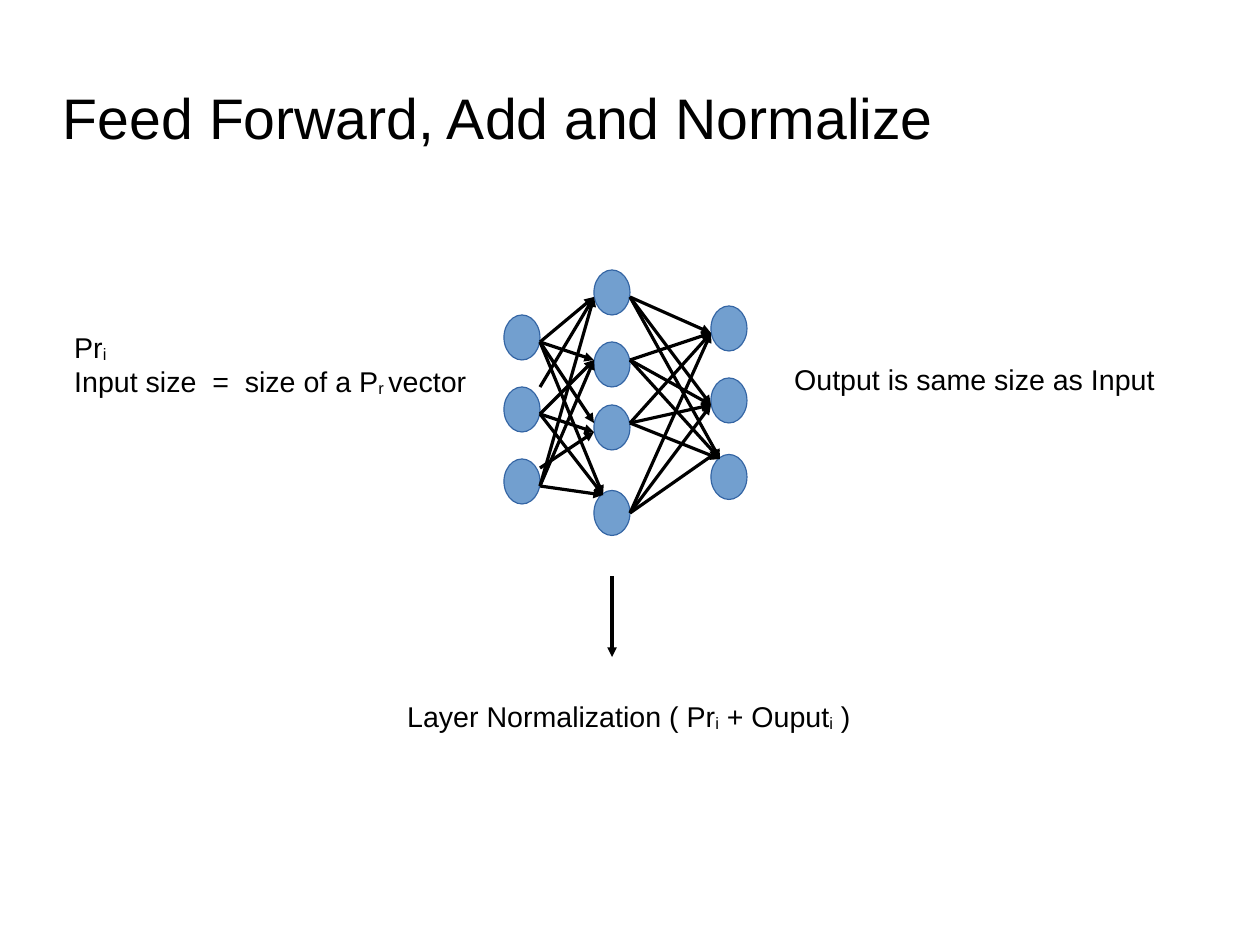
from lxml.etree import SubElement
from pptx import Presentation
from pptx.dml.color import RGBColor
from pptx.enum.shapes import MSO_CONNECTOR, MSO_SHAPE
from pptx.enum.text import MSO_ANCHOR, MSO_AUTO_SIZE, PP_ALIGN
from pptx.oxml.ns import qn
from pptx.util import Mm, Pt

TITLE = "Feed Forward, Add and Normalize"
# Each paragraph alternates normal and subscript runs.
LABELS = [
    ((7, 36, 47, 15), [["Pr", "i"],
                       ["Input size  =  size of a P", "r ", "vector"]]),
    ((87, 39.6, 47, 8.4), [["Output is same size as Input"]]),
    ((44, 77, 64, 6), [["Layer Normalization ( Pr", "i", " + Ouput", "i", " )"]]),
]

# Positions are columns and rows of a 2 mm grid.
COLUMNS, ROWS = 140, 105
NODE_WIDTH, NODE_HEIGHT = 4, 5
LAYERS = [  # column, node tops
    (56, [35, 43, 51]),
    (66, [30, 38, 45, 54.5]),
    (79, [34, 42, 50.5]),
]
DEPARTURES = [[38, 46, 54], [33, 40, 47, 57]]  # rows, per source layer
ARRIVALS = [  # points, per target layer
    [(66, 33), (66, 40), (66, 48), (67, 55)],
    [(79, 37), (79, 45), (80, 51)],
]
# Edges (layer, source, target) that leave or land on a row of their own
OWN_DEPARTURE = {(0, 1, 0): 43, (0, 2, 2): 52}
OWN_ARRIVAL = {(0, 0, 2): 47, (1, 3, 2): 50}
RESULT_ARROW = ((68, 64), (68, 73))

COLORS = {"node": "729FCF", "outline": "3465A4", "ink": "000000"}
FONT = "Arial"


def grid(*units):
    return [Mm(2 * unit) for unit in units]


def color(name):
    return RGBColor.from_string(COLORS[name])


def style_run(run, size):
    run.font.name = FONT
    run.font.size = Pt(size)
    run.font.color.rgb = color("ink")


def add_title(slide):
    title = slide.shapes.title
    title.left, title.top, title.width, title.height = grid(7, 8, 100, 10)
    frame = title.text_frame
    frame.text = TITLE
    frame.auto_size = MSO_AUTO_SIZE.NONE
    frame.vertical_anchor = MSO_ANCHOR.MIDDLE
    frame.margin_left = frame.margin_right = 0
    frame.margin_top = frame.margin_bottom = 0
    frame.paragraphs[0].alignment = PP_ALIGN.LEFT
    style_run(frame.paragraphs[0].runs[0], 36)


def add_label(slide, box, paragraphs):
    frame = slide.shapes.add_textbox(*grid(*box)).text_frame
    frame.word_wrap = True
    for number, pieces in enumerate(paragraphs):
        paragraph = frame.add_paragraph() if number else frame.paragraphs[0]
        for position, piece in enumerate(pieces):
            run = paragraph.add_run()
            run.text = piece
            style_run(run, 18)
            if position % 2:
                run.font._element.set("baseline", "-8000")


def add_node(slide, column, row):
    node = slide.shapes.add_shape(
        MSO_SHAPE.OVAL, *grid(column, row, NODE_WIDTH, NODE_HEIGHT))
    node.shadow.inherit = False
    node.fill.solid()
    node.fill.fore_color.rgb = color("node")
    node.line.color.rgb = color("outline")
    node.line.width = Pt(0)


def add_arrow(slide, start, end):
    arrow = slide.shapes.add_connector(
        MSO_CONNECTOR.STRAIGHT, *grid(*start, *end))
    arrow.line.color.rgb = color("ink")
    arrow.line.width = Pt(0)
    properties = arrow._element.spPr
    SubElement(properties.find(qn("a:ln")), qn("a:tailEnd"), type="triangle")
    SubElement(properties, qn("a:effectLst"))


def add_network(slide):
    for column, tops in LAYERS:
        for top in tops:
            add_node(slide, column, top)
    for layer, (departures, arrivals) in enumerate(zip(DEPARTURES, ARRIVALS)):
        start_column = LAYERS[layer][0] + NODE_WIDTH
        for source, start_row in enumerate(departures):
            for target, (end_column, end_row) in enumerate(arrivals):
                edge = (layer, source, target)
                add_arrow(slide,
                          (start_column, OWN_DEPARTURE.get(edge, start_row)),
                          (end_column, OWN_ARRIVAL.get(edge, end_row)))


def main():
    deck = Presentation()
    deck.slide_width, deck.slide_height = grid(COLUMNS, ROWS)
    slide = deck.slides.add_slide(deck.slide_layouts.get_by_name("Title Only"))
    add_title(slide)
    add_network(slide)
    add_arrow(slide, *RESULT_ARROW)
    for box, paragraphs in LABELS:
        add_label(slide, box, paragraphs)
    deck.save("out.pptx")


if __name__ == "__main__":
    main()
